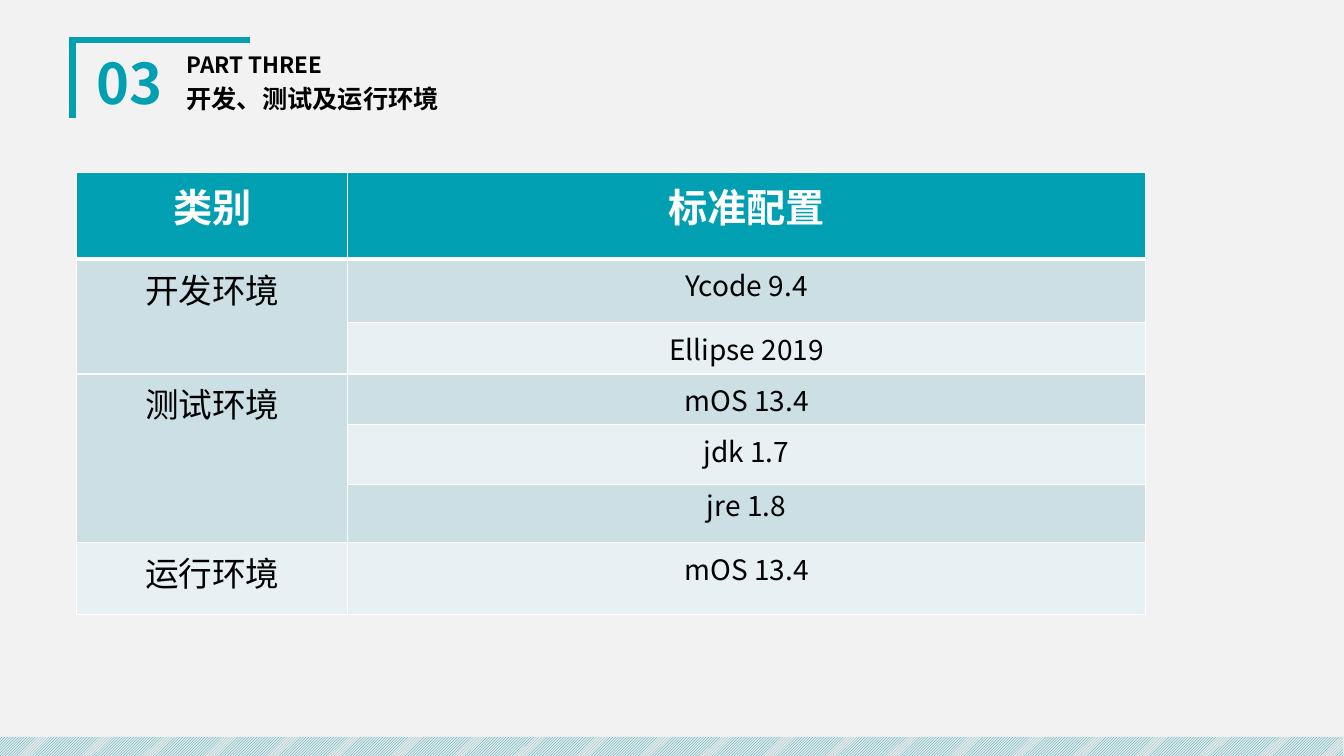
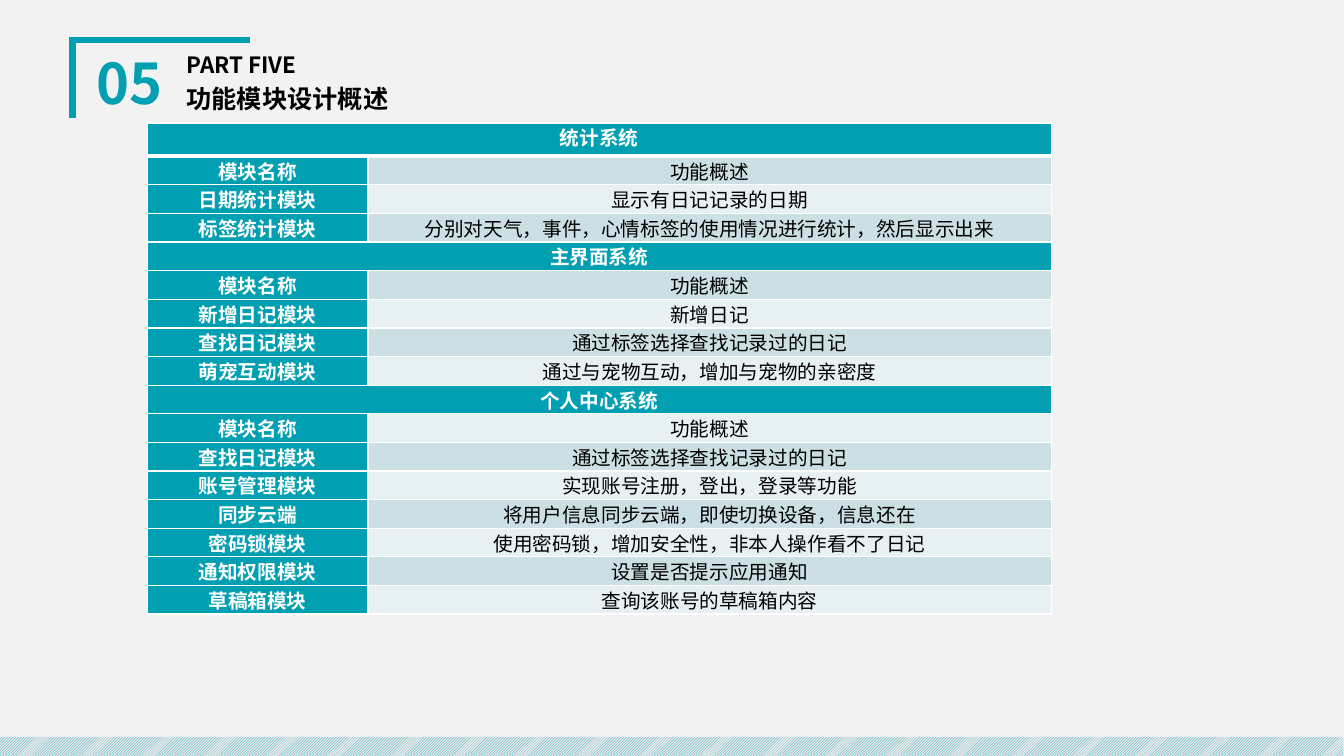
from lxml import etree
from pptx import Presentation, util as u
from pptx.dml.color import RGBColor
from pptx.enum import dml, shapes, text
from pptx.oxml import ns

TEAL = RGBColor(0x00, 0x9F, 0xB1)
BAND_GRAY = RGBColor(0xE9, 0xE9, 0xE9)
PAPER = RGBColor(0xF2, 0xF2, 0xF2)
TINT = RGBColor(0xCC, 0xDF, 0xE4)
PALE = RGBColor(0xE7, 0xF0, 0xF2)
WHITE = RGBColor(0xFF, 0xFF, 0xFF)
BLACK = RGBColor(0x00, 0x00, 0x00)
FONT = "Noto Sans CJK SC"
CENTER, LEFT = text.PP_ALIGN.CENTER, text.PP_ALIGN.LEFT


def write(frame, words, size=14, color=BLACK, bold=False, align=CENTER,
          line_spacing=None, before=None):
    paragraph = frame.paragraphs[0]
    paragraph.alignment = align
    if line_spacing:
        paragraph.line_spacing = line_spacing
    if before is not None:
        paragraph.space_before = u.Pt(before)
    run = paragraph.add_run()
    run.text = words
    run.font.size = u.Pt(size)
    run.font.bold = bold
    run.font.color.rgb = color
    run.font.name = FONT
    etree.SubElement(run._r.get_or_add_rPr(), ns.qn("a:ea"), typeface=FONT)


def border(cell, side, width):
    line = etree.SubElement(cell._tc.get_or_add_tcPr(), ns.qn(f"a:ln{side}"),
                            w=str(u.Pt(width)))
    fill = etree.SubElement(line, ns.qn("a:solidFill"))
    etree.SubElement(fill, ns.qn("a:srgbClr"), val=str(WHITE))


class Deck:
    def __init__(self):
        self.prs = Presentation()
        self.prs.slide_width = u.Inches(13.33)
        self.prs.slide_height = u.Inches(7.5)
        background = self.prs.slide_master.background.fill
        background.solid()
        background.fore_color.rgb = PAPER
        self.slide = None

    def x(self, percent):
        return u.Emu(round(self.prs.slide_width * percent / 100))

    def y(self, percent):
        return u.Emu(round(self.prs.slide_height * percent / 100))

    def box(self, left, top, width, height):
        return self.x(left), self.y(top), self.x(width), self.y(height)

    def new_slide(self, number, part, heading):
        layout = self.prs.slide_layouts.get_by_name("Comparison")
        self.slide = self.prs.slides.add_slide(layout)
        self.bracket()
        self.band()
        self.label(1, number, (6.15, 6.53, 6.98, 9.73),
                   size=40, color=TEAL, align=CENTER)
        self.label(3, part, (13.13, 6.53, 20.03, 4.53), size=16)
        self.label(0, heading, (13.13, 10.4, 21.98, 5.87), size=18)
        for holder in list(self.slide.placeholders):
            if not holder.text_frame.text:
                holder.element.getparent().remove(holder.element)

    def label(self, idx, words, area, align=LEFT, **style):
        holder = next(p for p in self.slide.placeholders
                      if p.placeholder_format.idx == idx)
        holder.left, holder.top, holder.width, holder.height = self.box(*area)
        frame = holder.text_frame
        frame.auto_size = text.MSO_AUTO_SIZE.NONE
        frame.vertical_anchor = text.MSO_ANCHOR.MIDDLE
        write(frame, words, bold=True, align=align, line_spacing=0.9,
              before=10, **style)

    def bracket(self):
        left, top = self.x(5.4), self.y(5.33)
        builder = self.slide.shapes.build_freeform(left, self.y(15.6))
        builder.add_line_segments([(left, top), (self.x(18.6), top)], close=False)
        corner = builder.convert_to_shape()
        corner.shadow.inherit = False
        corner.fill.background()
        corner.line.color.rgb = TEAL
        corner.line.width = u.Pt(4.5)
        etree.SubElement(corner.line._get_or_add_ln(), ns.qn("a:miter"), lim="800000")

    def band(self):
        stripe = self.slide.shapes.add_shape(
            shapes.MSO_SHAPE.RECTANGLE, *self.box(-0.2, 97.47, 100.15, 2.93))
        stripe.shadow.inherit = False
        stripe.line.fill.background()
        stripe.fill.patterned()
        stripe.fill.pattern = dml.MSO_PATTERN.LIGHT_UPWARD_DIAGONAL
        stripe.fill.fore_color.rgb = TEAL
        stripe.fill.back_color.rgb = BAND_GRAY

    def table(self, left, top, columns, heights, rows, sizes, teal_names=False,
              tight_rows=()):
        table = self.slide.shapes.add_table(
            len(rows), len(columns),
            *self.box(left, top, sum(columns), sum(heights))).table
        table.first_row = table.horz_banding = False
        for column, width in zip(table.columns, columns):
            column.width = self.x(width)
        for r, (row, height) in enumerate(zip(rows, heights)):
            table.rows[r].height = self.y(height)
            section = r == 0 or len(row) == 1
            for c in range(len(columns)):
                cell = table.cell(r, c)
                strong = section or (teal_names and c == 0)
                fill = TEAL if strong else TINT if r % 2 else PALE
                self.style_cell(cell, r, fill, r in tight_rows)
                words = row[c] if c < len(row) else None
                if words:
                    write(cell.text_frame, words, bold=strong,
                          size=sizes[0] if section else sizes[c + 1],
                          color=WHITE if strong else BLACK)
            if len(row) == 1:
                table.cell(r, 0).merge(table.cell(r, len(columns) - 1))
        self.merge_down(table, rows)

    def style_cell(self, cell, r, fill, tight):
        if tight:
            cell.margin_left = cell.margin_right = u.Inches(0.07)
            cell.margin_top = cell.margin_bottom = 0
        for side in "LRTB":
            border(cell, side, 3 if (r, side) in ((0, "B"), (1, "T")) else 1)
        cell.fill.solid()
        cell.fill.fore_color.rgb = fill

    def merge_down(self, table, rows):
        starts = [r for r, row in enumerate(rows) if row[0]]
        for start, following in zip(starts, starts[1:] + [len(rows)]):
            if following - start > 1:
                table.cell(start, 0).merge(table.cell(following - 1, 0))


ENVIRONMENTS = [
    ("类别", "标准配置"),
    ("开发环境", "Ycode 9.4"),
    (None, "Ellipse 2019"),
    ("测试环境", "mOS 13.4"),
    (None, "jdk 1.7"),
    (None, "jre 1.8"),
    ("运行环境", "mOS 13.4"),
]
COLUMN_NAMES = ("模块名称", "功能概述")
FIND_DIARY = ("查找日记模块", "通过标签选择查找记录过的日记")
MODULES = [
    ("统计系统",),
    COLUMN_NAMES,
    ("日期统计模块", "显示有日记记录的日期"),
    ("标签统计模块", "分别对天气，事件，心情标签的使用情况进行统计，然后显示出来"),
    ("主界面系统",),
    COLUMN_NAMES,
    ("新增日记模块", "新增日记"),
    FIND_DIARY,
    ("萌宠互动模块", "通过与宠物互动，增加与宠物的亲密度"),
    ("个人中心系统",),
    COLUMN_NAMES,
    FIND_DIARY,
    ("账号管理模块", "实现账号注册，登出，登录等功能"),
    ("同步云端", "将用户信息同步云端，即使切换设备，信息还在"),
    ("密码锁模块", "使用密码锁，增加安全性，非本人操作看不了日记"),
    ("通知权限模块", "设置是否提示应用通知"),
    ("草稿箱模块", "查询该账号的草稿箱内容"),
]


def main():
    deck = Deck()
    deck.new_slide("03", "PART THREE", "开发、测试及运行环境")
    deck.table(5.7, 22.8, (20.18, 59.33),
               (11.47, 8.4, 6.8, 5.87, 7.87, 7.73, 9.47),
               ENVIRONMENTS, sizes=(28, 24, 20), tight_rows=(5,))

    deck.new_slide("05", "PART FIVE", "功能模块设计概述")
    deck.table(10.95, 16.27, (16.43, 50.85),
               [4.4] + [3.72] * (len(MODULES) - 1),
               MODULES, sizes=(14, 14, 14), teal_names=True,
               tight_rows=range(len(MODULES)))
    deck.prs.save("out.pptx")


if __name__ == "__main__":
    main()
